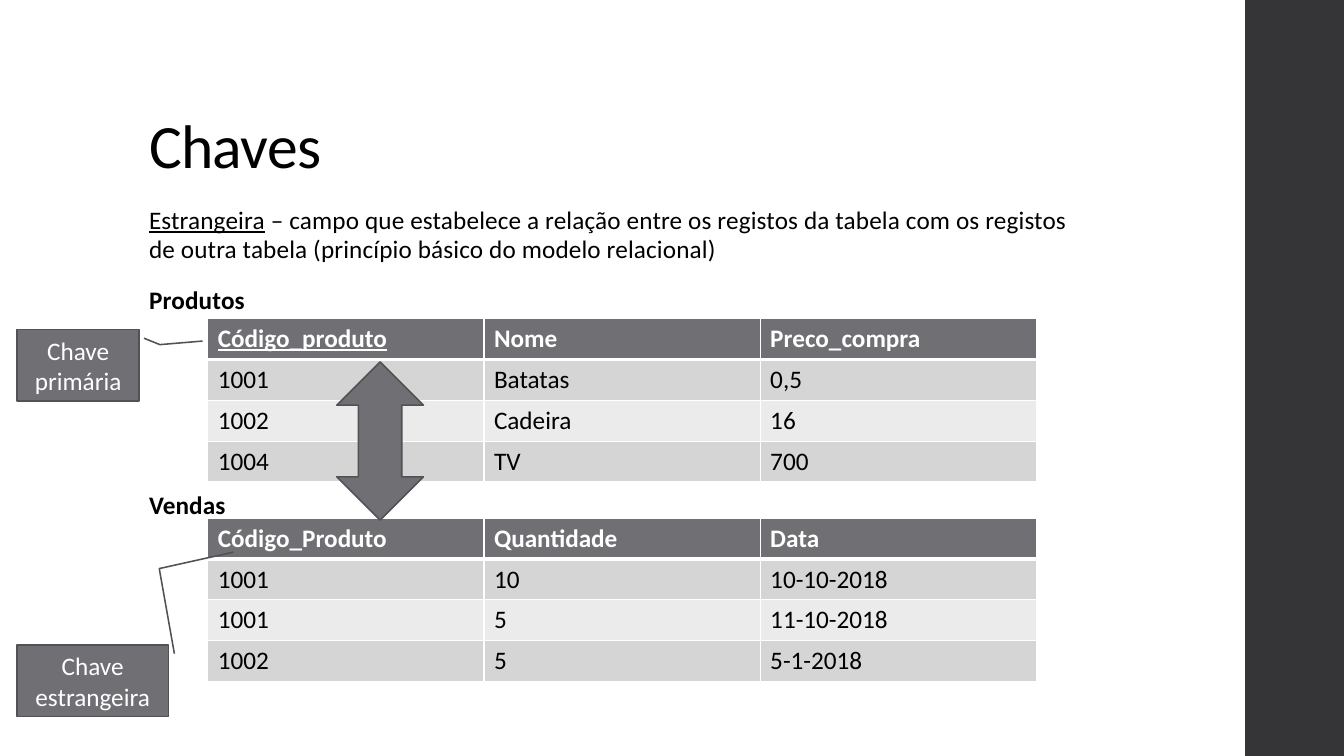
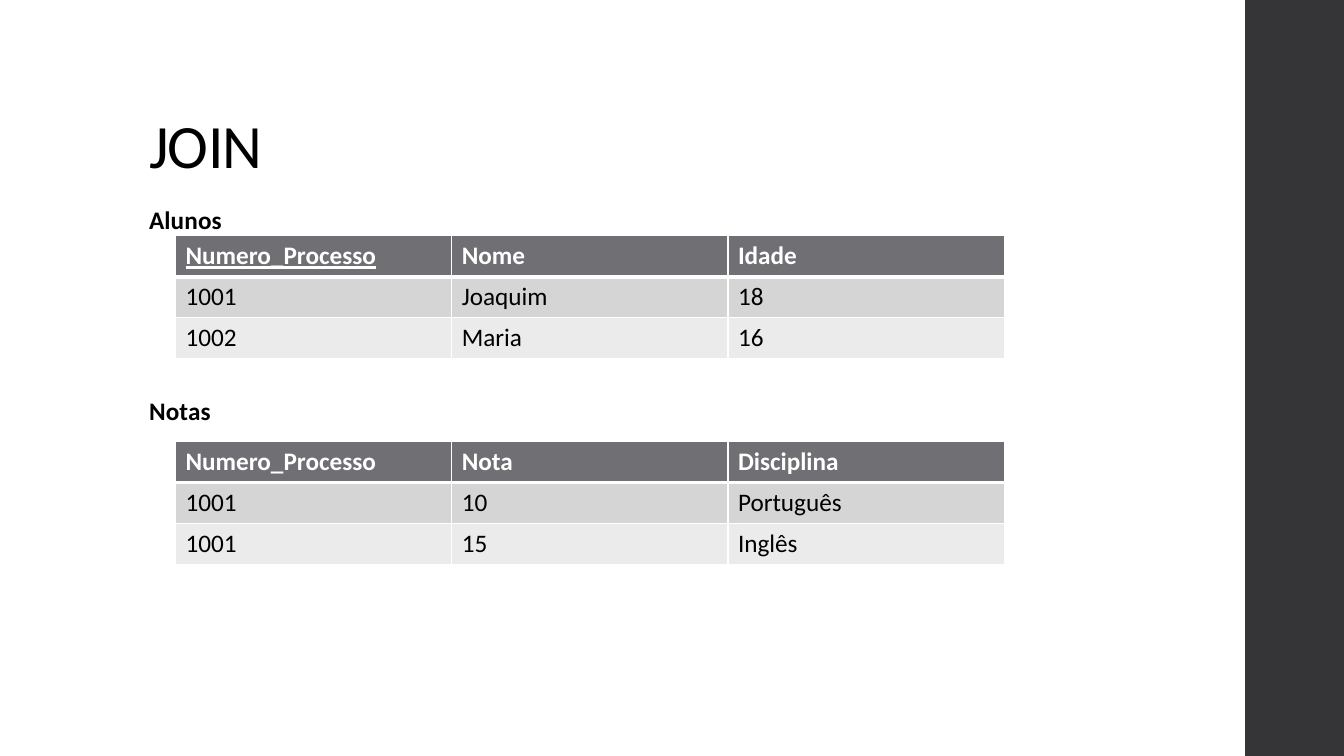
"""Build two slides on database keys and joins."""
import pptx
import pptx.util
import pptx.dml.color
import pptx.enum.shapes
import pptx.enum.text
import pptx.oxml.ns
import lxml.etree

Inches, Pt = pptx.util.Inches, pptx.util.Pt
SHAPE = pptx.enum.shapes.MSO_SHAPE
ALIGN = pptx.enum.text.PP_ALIGN
ANCHOR = pptx.enum.text.MSO_ANCHOR

WIDTH, HEIGHT = 13.33, 7.5
BAR_LEFT, MARGIN = 12.35, 1.38
COL_WIDTH, ROW_HEIGHT = Inches(2.74), Pt(29.2)
FONT = "Calibri"
BLACK, WHITE, DARK = "000000", "FFFFFF", "353537"
GREY, EDGE = "6F6F74", "525256"
BANDS = ["D5D5D6", "EBEBEB"]

SLIDES = [
    {
        "title": "Chaves",
        "body": [
            (14, [("Estrangeira", {"underline": True}),
                  (" – campo que estabelece a relação entre os registos da tabela com os "
                   "registos de outra tabela (princípio básico do modelo relacional)", {})]),
            (14, [("Produtos", {"bold": True})]),
            (124, [("Vendas", {"bold": True})]),
        ],
        "tables": [
            (2.06, 3.16, True, [
                ("Código_produto", "Nome", "Preco_compra"),
                ("1001", "Batatas", "0,5"),
                ("1002", "Cadeira", "16"),
                ("1004", "TV", "700")]),
            (2.06, 5.14, False, [
                ("Código_Produto", "Quantidade", "Data"),
                ("1001", "10", "10-10-2018"),
                ("1001", "5", "11-10-2018"),
                ("1002", "5", "5-1-2018")]),
        ],
        "shapes": [
            (SHAPE.UP_DOWN_ARROW, (3.34, 3.59, 0.86, 1.57), [], ""),
            (SHAPE.LINE_CALLOUT_2, (0.17, 3.27, 1.21, 0.71),
             [0.12, 1.04, 0.21, 1.17, 0.16, 1.52], "Chave primária"),
            (SHAPE.LINE_CALLOUT_2, (0.17, 6.4, 1.5, 0.71),
             [0.12, 1.04, -1.07, 0.94, -1.3, 1.43], "Chave estrangeira"),
        ],
    },
    {
        "title": "JOIN",
        "body": [(14, [("Alunos", {"bold": True})]),
                 (114, [("Notas", {"bold": True})])],
        "tables": [
            (1.74, 2.34, True, [
                ("Numero_Processo", "Nome", "Idade"),
                ("1001", "Joaquim", "18"),
                ("1002", "Maria", "16")]),
            (1.74, 4.38, False, [
                ("Numero_Processo", "Nota", "Disciplina"),
                ("1001", "10", "Português"),
                ("1001", "15", "Inglês")]),
        ],
        "shapes": [],
    },
]


def rgb(value):
    return pptx.dml.color.RGBColor.from_string(value)


def add_text(p, text, size=18, color=BLACK, bold=False, underline=False, spacing=0):
    r = p.add_run()
    r.text = text
    r.font.name, r.font.size = FONT, Pt(size)
    r.font.bold, r.font.underline = bold, underline
    r.font.color.rgb = rgb(color)
    if spacing:
        r.font._element.set("spc", str(round(spacing * 100)))


def add_box(s, box, anchor):
    tf = s.shapes.add_textbox(*map(Inches, box)).text_frame
    tf.word_wrap, tf.vertical_anchor = True, anchor
    return tf


def add_shape(s, kind, box, fill, line=None):
    sp = s.shapes.add_shape(kind, *map(Inches, box))
    sp.shadow.inherit = False
    sp.fill.solid()
    sp.fill.fore_color.rgb = rgb(fill)
    if line:
        sp.line.color.rgb, sp.line.width = rgb(line), Pt(1.1)
    else:
        sp.line.fill.background()
    return sp


def set_borders(cell, top, bottom):
    qn = pptx.oxml.ns.qn
    tc_pr = cell._tc.get_or_add_tcPr()
    for side, width in (("L", 1), ("R", 1), ("T", top), ("B", bottom)):
        ln = lxml.etree.SubElement(tc_pr, qn("a:ln" + side), w=str(Pt(width)))
        fill = lxml.etree.SubElement(ln, qn("a:solidFill"))
        lxml.etree.SubElement(fill, qn("a:srgbClr"), val=WHITE)


def add_table(s, left, top, has_key, rows):
    cols = len(rows[0])
    table = s.shapes.add_table(len(rows), cols, Inches(left), Inches(top),
                               COL_WIDTH * cols, ROW_HEIGHT * len(rows)).table
    for col in table.columns:
        col.width = COL_WIDTH
    for i, row in enumerate(rows):
        table.rows[i].height = ROW_HEIGHT
        header = i == 0
        for j, text in enumerate(row):
            cell = table.cell(i, j)
            set_borders(cell, 3 if i == 1 else 1, 3 if header else 1)
            cell.fill.solid()
            cell.fill.fore_color.rgb = rgb(GREY if header else BANDS[(i - 1) % 2])
            add_text(cell.text_frame.paragraphs[0], text, bold=header,
                     color=WHITE if header else BLACK,
                     underline=header and has_key and j == 0)


def add_body(s, paragraphs):
    tf = add_box(s, (MARGIN, 2, 9.4, 4.76), ANCHOR.TOP)
    for i, (before, runs) in enumerate(paragraphs):
        p = tf.add_paragraph() if i else tf.paragraphs[0]
        p.line_spacing, p.space_before, p.space_after = 0.95, Pt(before), Pt(2)
        for text, style in runs:
            add_text(p, text, spacing=0.1, **style)


def add_label_shape(s, kind, box, adjustments, label):
    sp = add_shape(s, kind, box, GREY, EDGE)
    for i, value in enumerate(adjustments):
        sp.adjustments[i] = value
    if label:
        tf = sp.text_frame
        tf.word_wrap, tf.vertical_anchor = True, ANCHOR.MIDDLE
        tf.paragraphs[0].alignment = ALIGN.CENTER
        add_text(tf.paragraphs[0], label, color=WHITE)


def add_slide(prs, content):
    s = prs.slides.add_slide(prs.slide_layouts[6])
    add_shape(s, SHAPE.RECTANGLE, (BAR_LEFT, 0, WIDTH - BAR_LEFT, HEIGHT), DARK)
    p = add_box(s, (MARGIN, 0.4, 10.6, 1.45), ANCHOR.BOTTOM).paragraphs[0]
    p.line_spacing = 0.9
    add_text(p, content["title"], size=44, spacing=-0.5)
    add_body(s, content["body"])
    for table in content["tables"]:
        add_table(s, *table)
    for shape in content["shapes"]:
        add_label_shape(s, *shape)


def main():
    prs = pptx.Presentation()
    prs.slide_width, prs.slide_height = Inches(WIDTH), Inches(HEIGHT)
    for content in SLIDES:
        add_slide(prs, content)
    prs.save("out.pptx")


if __name__ == "__main__":
    main()
